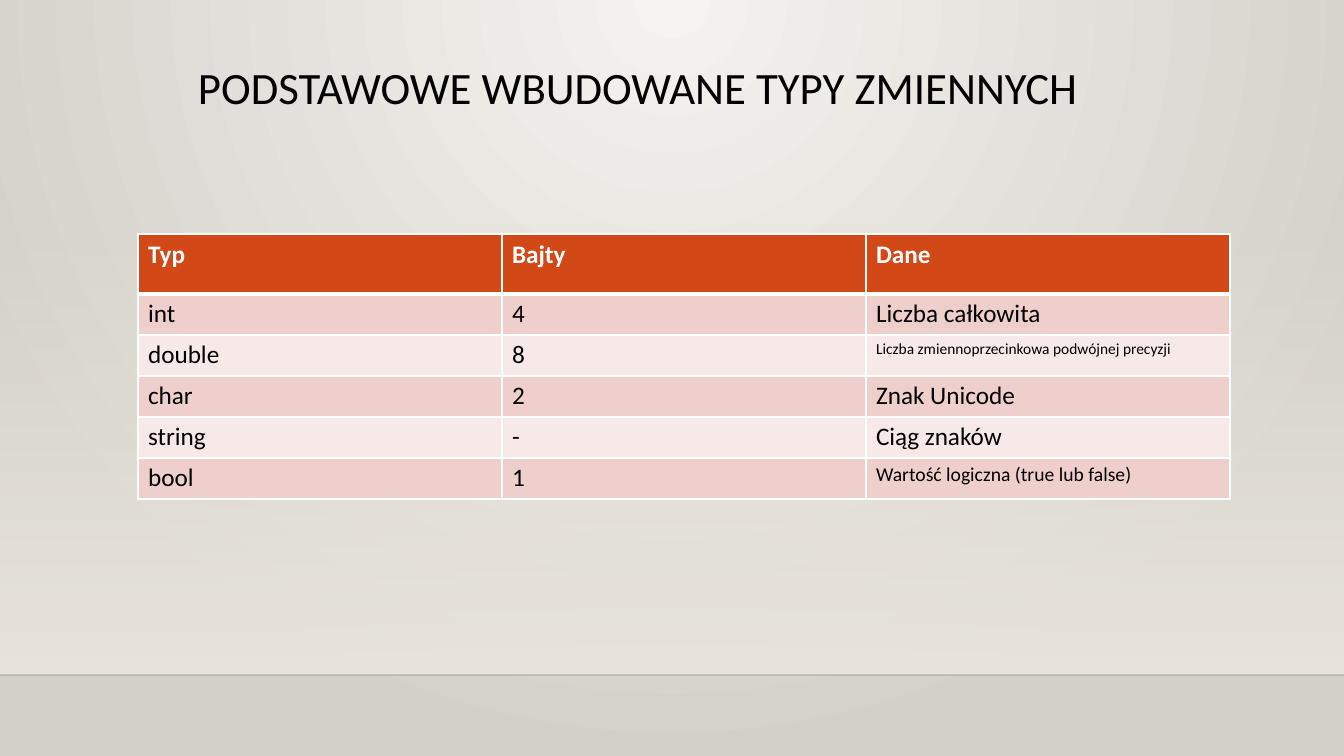
from lxml import etree
from pptx import Presentation
from pptx.dml.color import RGBColor
from pptx.enum.shapes import MSO_CONNECTOR, MSO_SHAPE
from pptx.enum.text import MSO_ANCHOR, PP_ALIGN
from pptx.oxml.ns import qn
from pptx.util import Pt

RECTANGLE = MSO_SHAPE.RECTANGLE
STRAIGHT = MSO_CONNECTOR.STRAIGHT
TOP = MSO_ANCHOR.TOP
CENTER = PP_ALIGN.CENTER

EMU_PER_PX = 914400 / 100.8
SLIDE_W, SLIDE_H = 1344, 756
FONT = "Calibri"

BLACK = RGBColor(0x00, 0x00, 0x00)
WHITE = RGBColor(0xFF, 0xFF, 0xFF)
GLOW = RGBColor(0xF4, 0xF3, 0xF0)
STONE = RGBColor(0xD3, 0xD0, 0xC8)
SAND = RGBColor(0xE9, 0xE5, 0xDC)
ORANGE = RGBColor(0xD3, 0x48, 0x17)
PINK = RGBColor(0xEF, 0xCF, 0xCC)
PALE_PINK = RGBColor(0xF7, 0xE9, 0xE8)

TITLE = "PODSTAWOWE WBUDOWANE TYPY ZMIENNYCH"
ROWS = [
    ("Typ", "Bajty", "Dane"),
    ("int", "4", "Liczba całkowita"),
    ("double", "8", "Liczba zmiennoprzecinkowa podwójnej precyzji"),
    ("char", "2", "Znak Unicode"),
    ("string", "-", "Ciąg znaków"),
    ("bool", "1", "Wartość logiczna (true lub false)"),
]
SMALL_SIZES = {(2, 2): 11, (5, 2): 14}
HEADER_H, ROW_H = 60, 41


def px(*lengths):
    """Turn pixel lengths into a list of EMU values."""
    return [round(n * EMU_PER_PX) for n in lengths]


def set_gradient(fill, colors):
    """Give a fill a gradient with one color per stop."""
    fill.gradient()
    for stop, color in zip(fill.gradient_stops, colors):
        stop.color.rgb = color


def set_alpha(element, percent):
    """Make the first RGB color under an element partly transparent."""
    color = element.find(".//" + qn("a:srgbClr"))
    etree.SubElement(color, qn("a:alpha"), val=str(percent * 1000))


def set_borders(cell, widths):
    """Draw white cell borders, in points by side."""
    tcPr = cell._tc.get_or_add_tcPr()
    for i, (side, width) in enumerate(widths.items()):
        ln = etree.Element(qn(f"a:ln{side}"), w=str(Pt(width)))
        solid = etree.SubElement(ln, qn("a:solidFill"))
        etree.SubElement(solid, qn("a:srgbClr"), val=str(WHITE))
        tcPr.insert(i, ln)


def add_background(slide):
    """Fill the slide with a radial glow from its top centre."""
    set_gradient(slide.background.fill, (GLOW, STONE))
    grad = slide.element.find(".//" + qn("p:bg")).find(".//" + qn("a:gradFill"))
    path = etree.Element(qn("a:path"), path="circle")
    etree.SubElement(path, qn("a:fillToRect"), l="43000", t="0", r="43000", b="100000")
    grad.replace(grad.find(qn("a:lin")), path)


def add_floor(slide, x, y, w, h):
    """Fade in a sand colour down the box and rule its lower edge."""
    sp = slide.shapes.add_shape(RECTANGLE, *px(x, y, w, h))
    sp.shadow.inherit = False
    set_gradient(sp.fill, (SAND, SAND))
    sp.fill.gradient_angle = 270
    set_alpha(sp.element.spPr, 0)
    sp.line.fill.background()
    edge = slide.shapes.add_connector(STRAIGHT, *px(x, y + h, x + w, y + h))
    edge.line.color.rgb = BLACK
    edge.line.width = Pt(1)
    spPr = edge.element.spPr
    set_alpha(spPr, 20)
    etree.SubElement(spPr, qn("a:effectLst"))


def add_types_table(slide, x, y, w):
    """Place the table of variable types with banded rows."""
    n_cols = len(ROWS[0])
    h = HEADER_H + ROW_H * (len(ROWS) - 1)
    frame = slide.shapes.add_table(len(ROWS), n_cols, *px(x, y, w, h))
    table = frame.table
    for col in table.columns:
        col.width = px(w / n_cols)[0]
    for r, texts in enumerate(ROWS):
        header = r == 0
        table.rows[r].height = px(HEADER_H if header else ROW_H)[0]
        fill = ORANGE if header else (PALE_PINK, PINK)[r % 2]
        borders = {"L": 1, "R": 1, "T": 3 if r == 1 else 1, "B": 3 if header else 1}
        for c, text in enumerate(texts):
            cell = table.cell(r, c)
            cell.text = text
            cell.fill.solid()
            cell.fill.fore_color.rgb = fill
            set_borders(cell, borders)
            font = cell.text_frame.paragraphs[0].font
            font.name = FONT
            font.size = Pt(SMALL_SIZES.get((r, c), 18))
            font.bold = header
            font.color.rgb = WHITE if header else BLACK


def add_title(slide, x, y, w, h):
    """Centre the title at the top of the box."""
    tf = slide.shapes.add_textbox(*px(x, y, w, h)).text_frame
    tf.word_wrap = True
    tf.vertical_anchor = TOP
    p = tf.paragraphs[0]
    p.text = TITLE
    p.alignment = CENTER
    p.line_spacing = 0.9
    p.font.name = FONT
    p.font.size = Pt(32)
    p.font.color.rgb = BLACK


def main():
    """Build and save the slide."""
    prs = Presentation()
    prs.slide_width, prs.slide_height = px(SLIDE_W, SLIDE_H)
    slide = prs.slides.add_slide(prs.slide_layouts[6])
    add_background(slide)
    add_floor(slide, 0, 223, SLIDE_W, 452)
    add_types_table(slide, 138, 234, 1092)
    add_title(slide, 92, 61, 1092, 171)
    prs.save("out.pptx")


if __name__ == "__main__":
    main()
